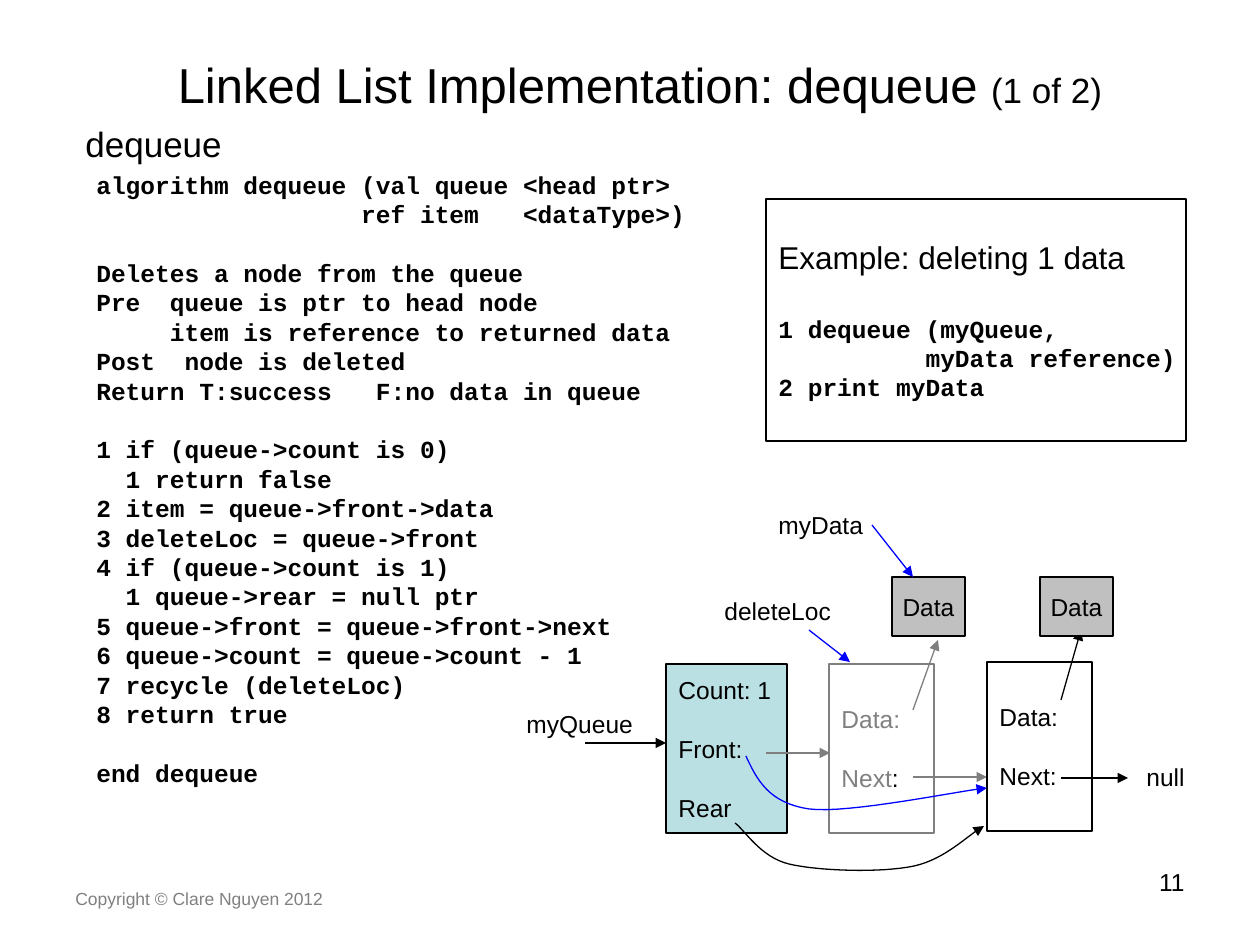
from lxml.etree import SubElement
from pptx import Presentation
from pptx.dml.color import RGBColor as RGB
from pptx.enum.shapes import MSO_CONNECTOR as CONN, MSO_SHAPE as SHAPE
from pptx.enum.text import MSO_ANCHOR as ANCHOR, MSO_AUTO_SIZE as AUTO, PP_ALIGN as ALIGN
from pptx.oxml.ns import qn
from pptx.util import Pt

PX = 914400 / 126
BLACK, WHITE = RGB(0, 0, 0), RGB(255, 255, 255)
GRAY, DIM = RGB(0x80, 0x80, 0x80), RGB(0x7F, 0x7F, 0x7F)
SILVER, TEAL, BLUE = RGB(0xC0, 0xC0, 0xC0), RGB(0xBB, 0xE0, 0xE3), RGB(0, 0, 255)
SANS = {"name": "Arial", "size": Pt(14), "bold": False}
MONO = {"name": "Courier New", "size": Pt(14), "bold": True}
HEAD = {**SANS, "size": Pt(18)}
LEAD = {**SANS, "size": Pt(20)}
MAIN = {**SANS, "size": Pt(28)}
NOTE = {**SANS, "size": Pt(10)}

CODE = """algorithm dequeue (val queue <head ptr>
                  ref item   <dataType>)

Deletes a node from the queue
Pre  queue is ptr to head node
     item is reference to returned data
Post  node is deleted
Return T:success   F:no data in queue

1 if (queue->count is 0)
  1 return false
2 item = queue->front->data
3 deleteLoc = queue->front
4 if (queue->count is 1)
  1 queue->rear = null ptr
5 queue->front = queue->front->next
6 queue->count = queue->count - 1
7 recycle (deleteLoc)
8 return true

end dequeue"""
CALL = """1 dequeue (myQueue,
          myData reference)
2 print myData"""


def emu(*vals):
    return [round(v * PX) for v in vals]


def lines(text, fmt=SANS, color=BLACK):
    """One row per line: (gap before, its runs); an empty line becomes a gap."""
    rows, gap = [], 0
    for line in text.split("\n"):
        if line:
            rows.append((gap, [(line, fmt, color)]))
            gap = 0
        else:
            gap = fmt["size"].pt * 1.2
    return rows


def write(frame, rows, align=ALIGN.LEFT, anchor=ANCHOR.MIDDLE, wrap=False):
    look = {"auto_size": AUTO.NONE, "word_wrap": wrap, "vertical_anchor": anchor}
    for key, val in look.items():
        setattr(frame, key, val)
    for i, (gap, runs) in enumerate(rows):
        para = frame.add_paragraph() if i else frame.paragraphs[0]
        para.alignment = align
        para.line_spacing = Pt(runs[0][1]["size"].pt * 1.2)
        para.space_before = Pt(gap)
        for text, fmt, color in runs:
            run = para.add_run()
            run.text = text
            for key, val in fmt.items():
                setattr(run.font, key, val)
            run.font.color.rgb = color


def label(shapes, box, rows, **opts):
    frame = shapes.add_textbox(*emu(*box)).text_frame
    write(frame, rows, **{"anchor": ANCHOR.TOP, **opts})


def block(shapes, box, rows, fill=None, edge=BLACK, **opts):
    rect = shapes.add_shape(SHAPE.RECTANGLE, *emu(*box))
    rect.shadow.inherit = False
    if fill is None:
        rect.fill.background()
    else:
        rect.fill.solid()
        rect.fill.fore_color.rgb = fill
    rect.line.color.rgb = edge
    rect.line.width = Pt(0.75)
    write(rect.text_frame, rows, **opts)


def tip(shape, color, width):
    """Style a line and end it in a triangle."""
    shape.line.color.rgb = color
    shape.line.width = Pt(width)
    SubElement(shape.line._get_or_add_ln(), qn("a:tailEnd"), type="triangle")


def arrow(shapes, x, y, start, end, color=BLACK, width=0.75):
    ends = emu(x + start[0], y + start[1], x + end[0], y + end[1])
    line = shapes.add_connector(CONN.STRAIGHT, *ends)
    tip(line, color, width)
    SubElement(line._element.spPr, qn("a:effectLst"))


def curve(shapes, x, y, start, parts, color):
    """Draw cubic curves joined end to end, each sampled in even steps."""
    dots, steps = [start], 16
    for a, b, c in parts:
        o = dots[-1]
        for k in range(1, steps + 1):
            t = k / steps
            u = 1 - t
            dots.append(tuple(u**3 * o[i] + 3 * u * u * t * a[i]
                              + 3 * u * t * t * b[i] + t**3 * c[i] for i in (0, 1)))
    dots = [emu(x + p, y + q) for p, q in dots]
    pen = shapes.build_freeform(*dots[0])
    pen.add_line_segments(dots[1:], close=False)
    path = pen.convert_to_shape()
    path.shadow.inherit = False
    path.fill.background()
    tip(path, color, 0.75)


def title(slide, box):
    head = slide.shapes.title
    head.left, head.top, head.width, head.height = emu(*box)
    runs = [("Linked List Implementation: dequeue ", MAIN, BLACK), ("(1 of 2)", LEAD, BLACK)]
    write(head.text_frame, [(0, runs)], align=ALIGN.CENTER, wrap=True)


def footer(shapes, box):
    x, y, w, h = box
    label(shapes, (x, y + 21, 399, 34), lines("Copyright © Clare Nguyen 2012", NOTE, GRAY))
    label(shapes, (x + w - 294, y, 294, h), lines("11"), align=ALIGN.RIGHT, wrap=True)


def code(shapes, box):
    x, y, w, h = box
    label(shapes, (x - 11, y - 47, w, 47), lines("dequeue", LEAD))
    label(shapes, box, lines(CODE, MONO), anchor=ANCHOR.MIDDLE)


def sample(shapes, box):
    rows = lines("Example: deleting 1 data", HEAD) + lines(CALL, MONO)
    rows[1] = (HEAD["size"].pt * 1.2, rows[1][1])
    block(shapes, box, rows)


def node(shapes, box, rows, edge, data, link):
    """A list node; data is (arrow start, arrow end, item corner)."""
    x, y = box[:2]
    block(shapes, box, rows, edge=edge)
    start, end, spot = data
    arrow(shapes, x, y, start, end, edge)
    arrow(shapes, x, y, *link, edge)
    block(shapes, (x + spot[0], y + spot[1], 73, 59), lines("Data"), SILVER, align=ALIGN.CENTER)


def queue(shapes, box):
    """The queue after the call: header, old node, new front and pointers."""
    x, y = box[:2]
    block(shapes, (x + 152, y + 160, 121, 169), lines("Count: 1\n\nFront:\n\nRear"), TEAL)
    arrow(shapes, x, y, (71, 239), (152, 239), width=1.5)
    arrow(shapes, x, y, (252, 249), (316, 249), DIM)

    old = lines("Data:\n\nNext", color=GRAY)
    old[-1][1].append((":", SANS, BLACK))
    node(shapes, (x + 315, y + 160, 105, 169), old, DIM,
         ((84, 46), (109, -24), (63, -87)), ((84, 113), (158, 113)))
    node(shapes, (x + 473, y + 158, 105, 169), lines("Data:\n\nNext:"), BLACK,
         ((74, 38), (94, -32), (53, -85)), ((74, 116), (141, 116)))

    for text, dx, dy, w in (("myQueue", 0, 199, 135), ("null", 620, 252, 81),
                            ("myData", 252, 0, 110), ("deleteLoc", 198, 86, 131)):
        label(shapes, (x + dx, y + dy, w, 43), lines(text))
    arrow(shapes, x, y, (358, 21), (399, 73), BLUE)
    arrow(shapes, x, y, (295, 126), (336, 158), BLUE)
    curve(shapes, x, y, (221, 319), [((230, 325), (246, 353), (275, 360)),
          ((305, 367), (367, 369), (400, 362)), ((432, 355), (455, 330), (470, 322))], BLACK)
    curve(shapes, x, y, (232, 252), [((243, 276), (255, 299), (295, 305)),
          ((335, 310), (444, 287), (473, 284))], BLUE)


def main():
    deck = Presentation()
    deck.slide_width, deck.slide_height = emu(1260, 945)
    slide = deck.slides.add_slide(deck.slide_layouts[5])
    shapes = slide.shapes
    title(slide, (73, 42, 1134, 84))
    footer(shapes, (63, 861, 1134, 65))
    code(shapes, (84, 163, 620, 631))
    sample(shapes, (766, 199, 420, 242))
    queue(shapes, (514, 504, 701, 370))
    deck.save("out.pptx")


if __name__ == "__main__":
    main()
